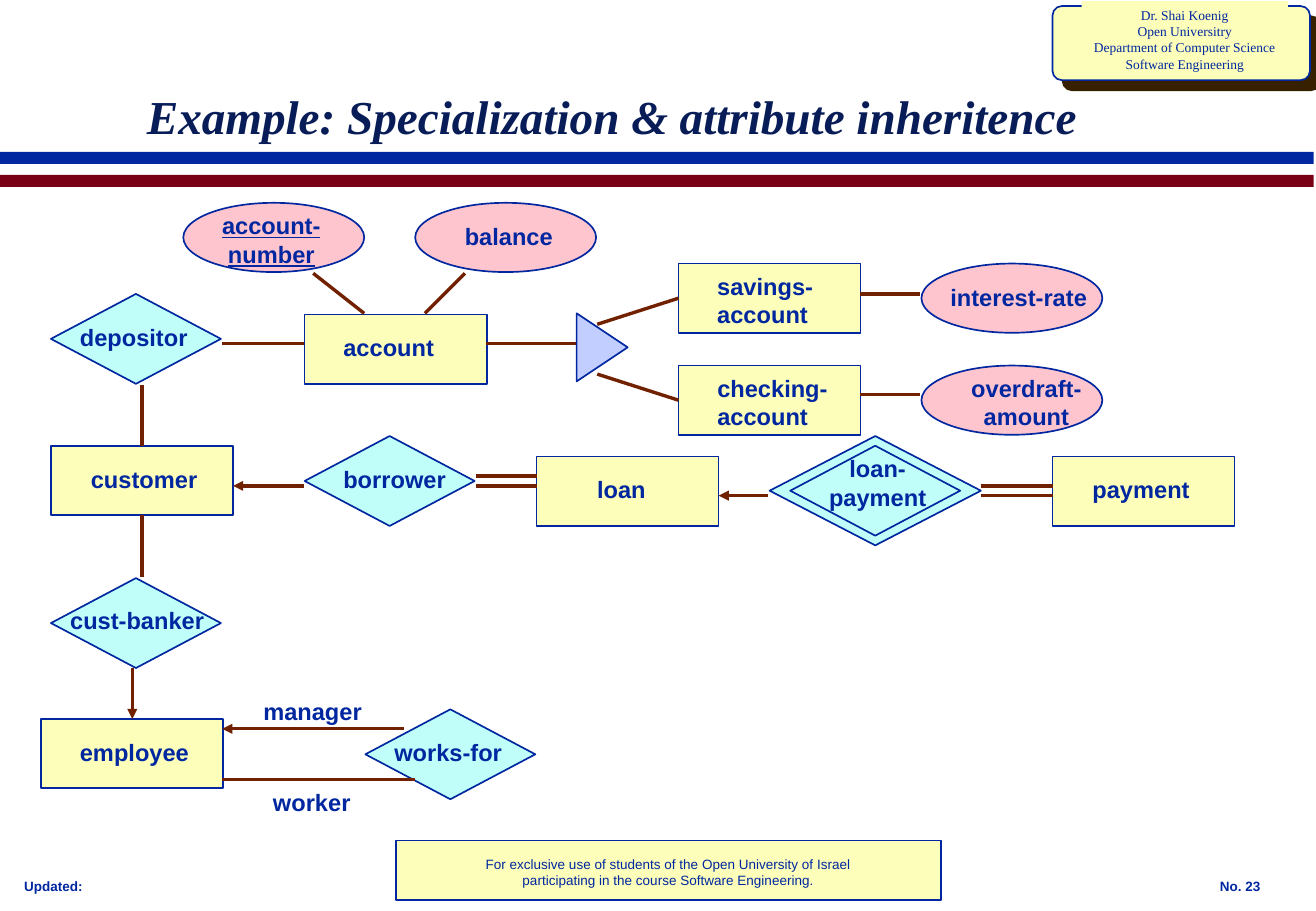
from dataclasses import dataclass

from lxml.etree import SubElement
from pptx import Presentation
from pptx.dml.color import RGBColor
from pptx.enum.shapes import MSO_CONNECTOR, MSO_SHAPE as Shape
from pptx.enum.text import MSO_ANCHOR, MSO_AUTO_SIZE, PP_ALIGN as Align
from pptx.oxml.ns import qn
from pptx.util import Inches, Pt


@dataclass(frozen=True)
class Theme:
    ink: str = "00279F"
    title: str = "081D58"
    maroon: str = "790015"
    link: str = "712000"
    shadow: str = "372000"
    entity: str = "FCFEB9"
    relation: str = "C0FEF9"
    attribute: str = "FFC5CF"
    isa: str = "C1CEFF"
    sans: str = "Arial"
    serif: str = "Times New Roman"
    small: int = 8
    label: int = 14
    heading: int = 28


THEME = Theme()
TITLE = "Example: Specialization & attribute inheritence"
HEADER = ["Dr. Shai Koenig", "Open Universitry", "Department of Computer Science",
          "Software Engineering"]
NOTICE = ["For exclusive use of students of the Open University of Israel",
          "participating in the course Software Engineering."]

# kind: preset shape, fill, width, height
KINDS = {
    "entity": (Shape.RECTANGLE, THEME.entity, 1.5, 0.57),
    "relation": (Shape.DIAMOND, THEME.relation, 1.4, 0.74),
    "weak": (Shape.DIAMOND, THEME.relation, 1.74, 0.9),
    "attribute": (Shape.OVAL, THEME.attribute, 1.49, 0.57),
}
# name: kind, left, top
NODES = {
    "loan-payment outline": ("weak", 6.34, 3.59),
    "customer": ("entity", 0.42, 3.67),
    "employee": ("entity", 0.34, 5.92),
    "borrower": ("relation", 2.51, 3.59),
    "works-for": ("relation", 3.01, 5.84),
    "cust-banker": ("relation", 0.42, 4.76),
    "loan": ("entity", 4.42, 3.76),
    "loan-payment": ("relation", 6.51, 3.67),
    "payment": ("entity", 8.67, 3.76),
    "account": ("entity", 2.51, 2.59),
    "depositor": ("relation", 0.42, 2.42),
    "savings-account": ("entity", 5.59, 2.17),
    "checking-account": ("entity", 5.59, 3.01),
    "balance": ("attribute", 3.42, 1.67),
    "account-number": ("attribute", 1.51, 1.67),
    "interest-rate": ("attribute", 7.59, 2.17),
    "overdraft-amount": ("attribute", 7.59, 3.01),
}
# lines, left, top, width, alignment
LABELS = [
    (["customer"], 0.65, 3.78, 1.12, Align.LEFT),
    (["employee"], 0.56, 6.03, 1.14, Align.LEFT),
    (["manager"], 2.07, 5.69, 1.05, Align.LEFT),
    (["worker"], 2.15, 6.44, 0.88, Align.LEFT),
    (["payment"], 8.9, 3.86, 1.04, Align.LEFT),
    (["loan-", "payment"], 6.71, 3.69, 1.04, Align.CENTER),
    (["loan"], 4.82, 3.86, 0.64, Align.LEFT),
    (["cust-banker"], 0.48, 4.94, 1.36, Align.LEFT),
    (["works-for"], 3.15, 6.03, 1.13, Align.LEFT),
    (["borrower"], 2.73, 3.78, 1.1, Align.LEFT),
    (["account"], 2.73, 2.69, 0.99, Align.LEFT),
    (["depositor"], 0.56, 2.61, 1.13, Align.LEFT),
    (["savings-", "account"], 5.81, 2.19, 1.03, Align.LEFT),
    (["checking-", "account"], 5.81, 3.03, 1.15, Align.LEFT),
    (["balance"], 3.73, 1.78, 0.98, Align.LEFT),
    (["account-", "number"], 1.71, 1.69, 1.05, Align.CENTER),
    (["overdraft-", "amount"], 7.88, 3.03, 1.15, Align.CENTER),
    (["interest-rate"], 7.73, 2.28, 1.37, Align.LEFT),
]
KEY_LABEL = ["account-", "number"]
TOP, LEFT, BOTTOM = 0, 1, 2
# start, end, arrow at the end; an end is a point or (node name, side)
LINKS = [
    ((1.09, 5.5), ("employee", TOP), True),
    ((4.92, 2.67), ("savings-account", LEFT), False),
    ((4.92, 3.08), ("checking-account", LEFT), False),
    ((4, 2.83), (4.75, 2.83), False),
    ((1.17, 3.17), ("customer", TOP), False),
    (("customer", BOTTOM), (1.17, 4.75), False),
    ((2.5, 4), (1.92, 4), True),
    ((3.33, 6), (1.83, 6), True),
    ((1.83, 6.42), (3.42, 6.42), False),
    ((6.33, 4.08), (5.92, 4.08), True),
    ((3.92, 3.92), (4.42, 3.92), False),
    ((3.92, 4), (4.42, 4), False),
    ((8.08, 4), (8.67, 4), False),
    ((8.08, 4.08), (8.67, 4.08), False),
    ((1.83, 2.83), (2.5, 2.83), False),
    ((2.58, 2.25), (3, 2.58), False),
    ((3.5, 2.58), (3.83, 2.25), False),
    ((7.08, 2.42), (7.58, 2.42), False),
    ((7.08, 3.25), (7.58, 3.25), False),
]


def color(value):
    return RGBColor.from_string(value)


def add_block(slide, preset, fill, left, top, width, height, outlined=True):
    block = slide.shapes.add_shape(preset, *map(Inches, (left, top, width, height)))
    block.shadow.inherit = False
    block.fill.solid()
    block.fill.fore_color.rgb = color(fill)
    if outlined:
        block.line.color.rgb = color(THEME.ink)
        block.line.width = Pt(1)
    else:
        block.line.fill.background()
    return block


def write(frame, lines, size, font=THEME.sans, ink=THEME.ink, align=Align.LEFT,
          bold=False, italic=False, underline=False):
    for index, line in enumerate(lines):
        para = frame.add_paragraph() if index else frame.paragraphs[0]
        para.text = line
        para.alignment = align
        para.font.name, para.font.size = font, Pt(size)
        para.font.bold, para.font.italic = bold, italic
        para.font.underline = underline
        para.font.color.rgb = color(ink)


def add_text(slide, lines, left, top, width, height, size, wrap=False, **style):
    box = slide.shapes.add_textbox(*map(Inches, (left, top, width, height)))
    box.text_frame.word_wrap = wrap
    box.text_frame.auto_size = MSO_AUTO_SIZE.NONE
    write(box.text_frame, lines, size, **style)


def add_link(slide, nodes, start, end, arrow):
    joins = [isinstance(place[0], str) for place in (start, end)]
    points = [(0, 0) if joined else place for joined, place in zip(joins, (start, end))]
    link = slide.shapes.add_connector(
        MSO_CONNECTOR.STRAIGHT, *(Inches(value) for point in points for value in point))
    for joined, place, connect in zip(joins, (start, end),
                                      (link.begin_connect, link.end_connect)):
        if joined:
            connect(nodes[place[0]], place[1])
    link.line.color.rgb = color(THEME.link)
    link.line.width = Pt(2)
    if arrow:
        SubElement(link.line._get_or_add_ln(), qn("a:tailEnd"), type="triangle")
    SubElement(link._element.spPr, qn("a:effectLst"))


def add_frame(slide):
    """Draw the bands, header card and footer around the diagram."""
    add_block(slide, Shape.RECTANGLE, THEME.entity, 3.26, 6.92, 4.49, 0.49)
    for top, fill in ((1.25, THEME.ink), (1.44, THEME.maroon)):
        add_block(slide, Shape.RECTANGLE, fill, 0, top, 10.82, 0.1, outlined=False)
    card = add_block(slide, Shape.ROUNDED_RECTANGLE, THEME.entity, 8.67, 0.05, 2.12, 0.61)
    card.adjustments[0] = 0.125
    effects = card._element.spPr.find(qn("a:effectLst"))
    shade = SubElement(effects, qn("a:outerShdw"), blurRad="0", dist=str(Pt(8.5)),
                       dir="2700000", algn="ctr", rotWithShape="0")
    SubElement(shade, qn("a:srgbClr"), val=THEME.shadow)
    header = add_block(slide, Shape.RECTANGLE, THEME.entity, 8.91, 0.01, 1.7, 0.63, False)
    header.text_frame.word_wrap = False
    write(header.text_frame, HEADER, THEME.small, font=THEME.serif, align=Align.CENTER)
    add_text(slide, ["Updated:"], 0.1, 7.18, 1.15, 0.23, THEME.small, bold=True)
    add_text(slide, ["No. 23"], 9.95, 7.18, 0.89, 0.23, THEME.small, bold=True)
    add_text(slide, NOTICE, 3.33, 7, 4.35, 0.37, THEME.small, wrap=True, align=Align.CENTER)


def add_title(slide):
    title = slide.shapes.title
    title.left, title.top, title.width, title.height = map(Inches, (1.11, 0.58, 8.64, 0.75))
    title.text_frame.vertical_anchor = MSO_ANCHOR.MIDDLE
    title.text_frame.auto_size = MSO_AUTO_SIZE.NONE
    write(title.text_frame, [TITLE], THEME.heading, font=THEME.serif, ink=THEME.title,
          bold=True, italic=True)


def main():
    deck = Presentation()
    deck.slide_width, deck.slide_height = Inches(10.84), Inches(7.5)
    slide = deck.slides.add_slide(deck.slide_layouts[5])
    add_frame(slide)
    add_title(slide)
    nodes = {}
    for name, (kind, left, top) in NODES.items():
        preset, fill, width, height = KINDS[kind]
        nodes[name] = add_block(slide, preset, fill, left, top, width, height)
    for lines, left, top, width, align in LABELS:
        add_text(slide, lines, left, top, width, 0.1 + 0.23 * len(lines), THEME.label,
                 align=align, bold=True, underline=lines == KEY_LABEL)
    for start, end, arrow in LINKS:
        add_link(slide, nodes, start, end, arrow)
    isa = add_block(slide, Shape.ISOSCELES_TRIANGLE, THEME.isa, 4.68, 2.65, 0.56, 0.42)
    isa.rotation = 90
    deck.save("out.pptx")


if __name__ == "__main__":
    main()
